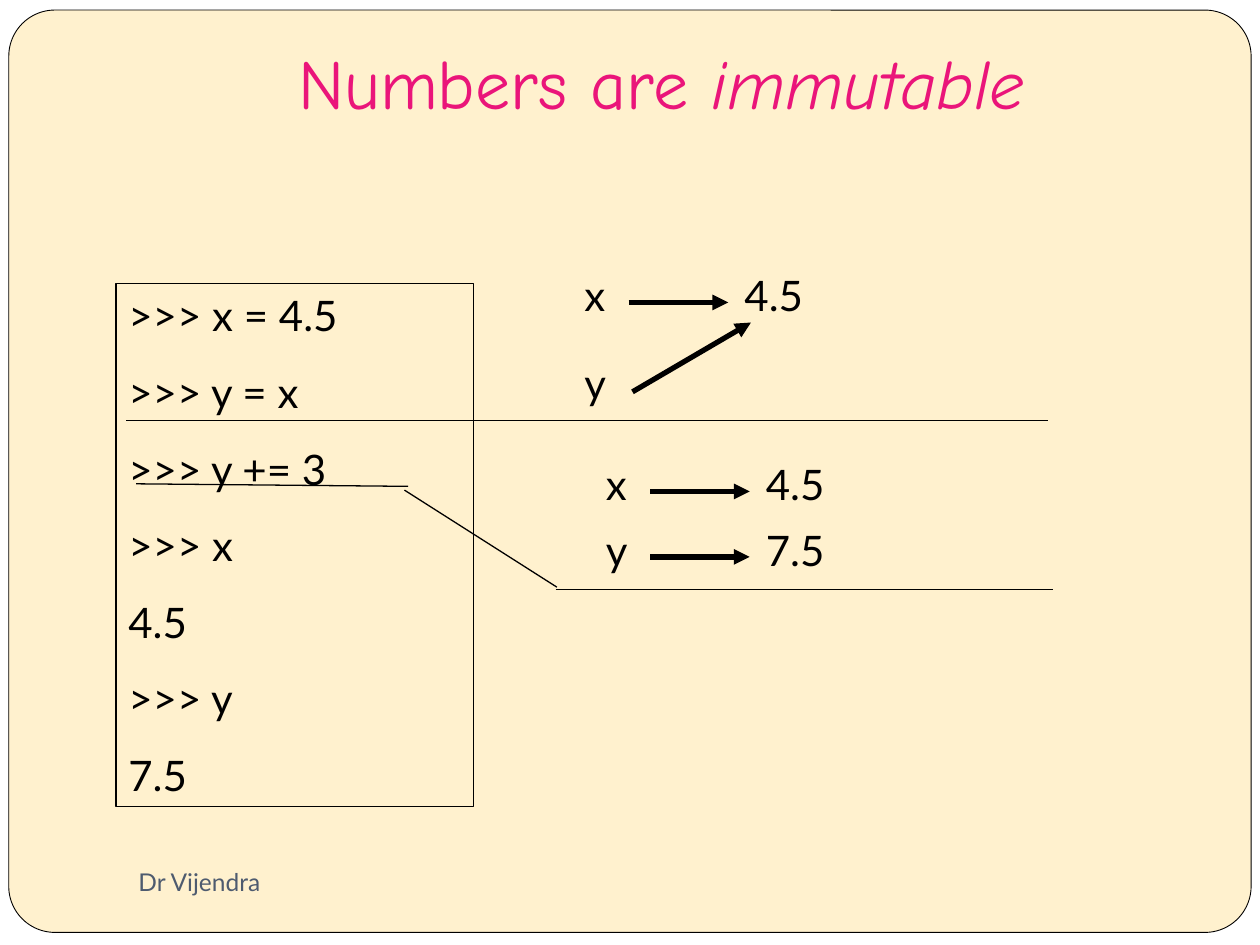
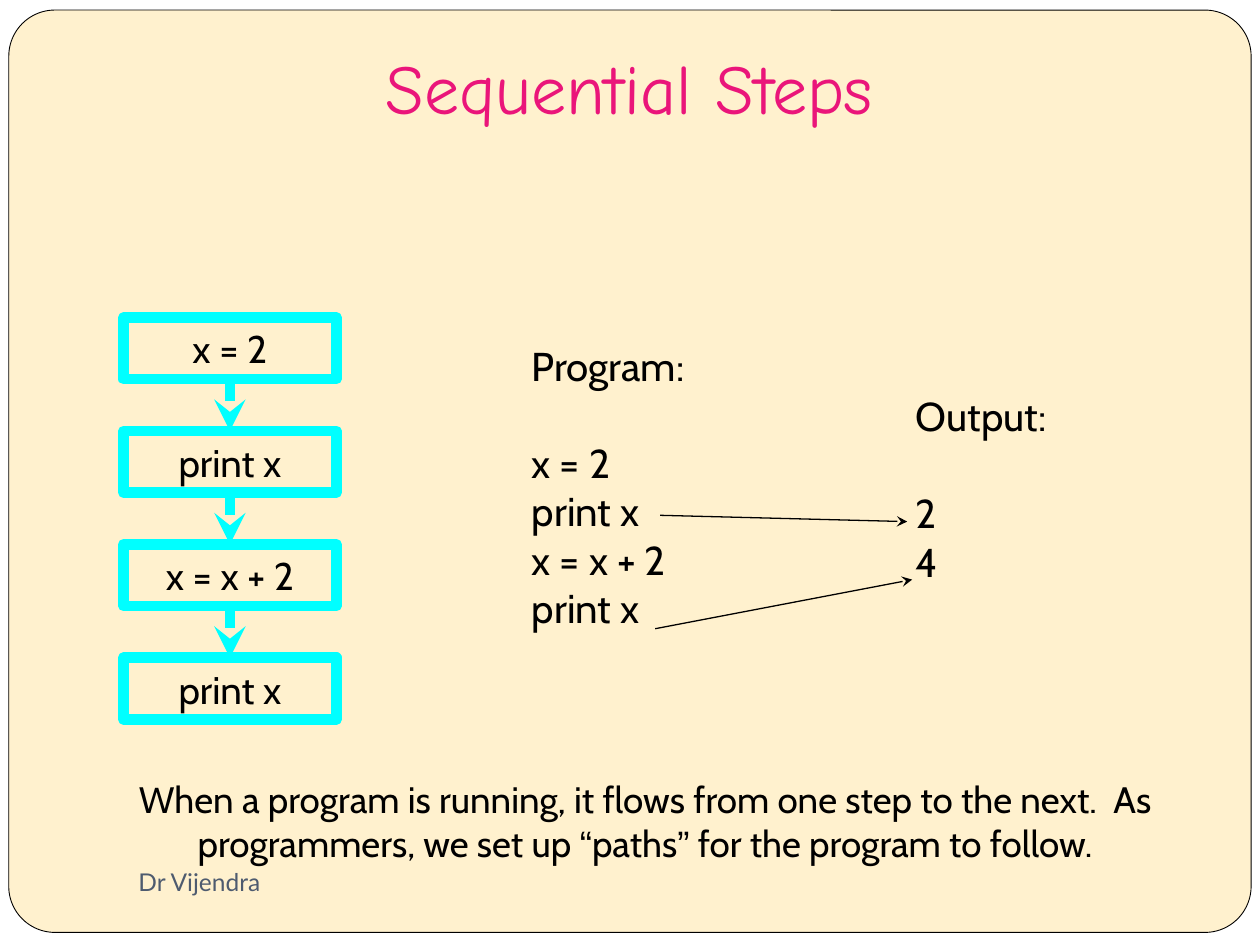
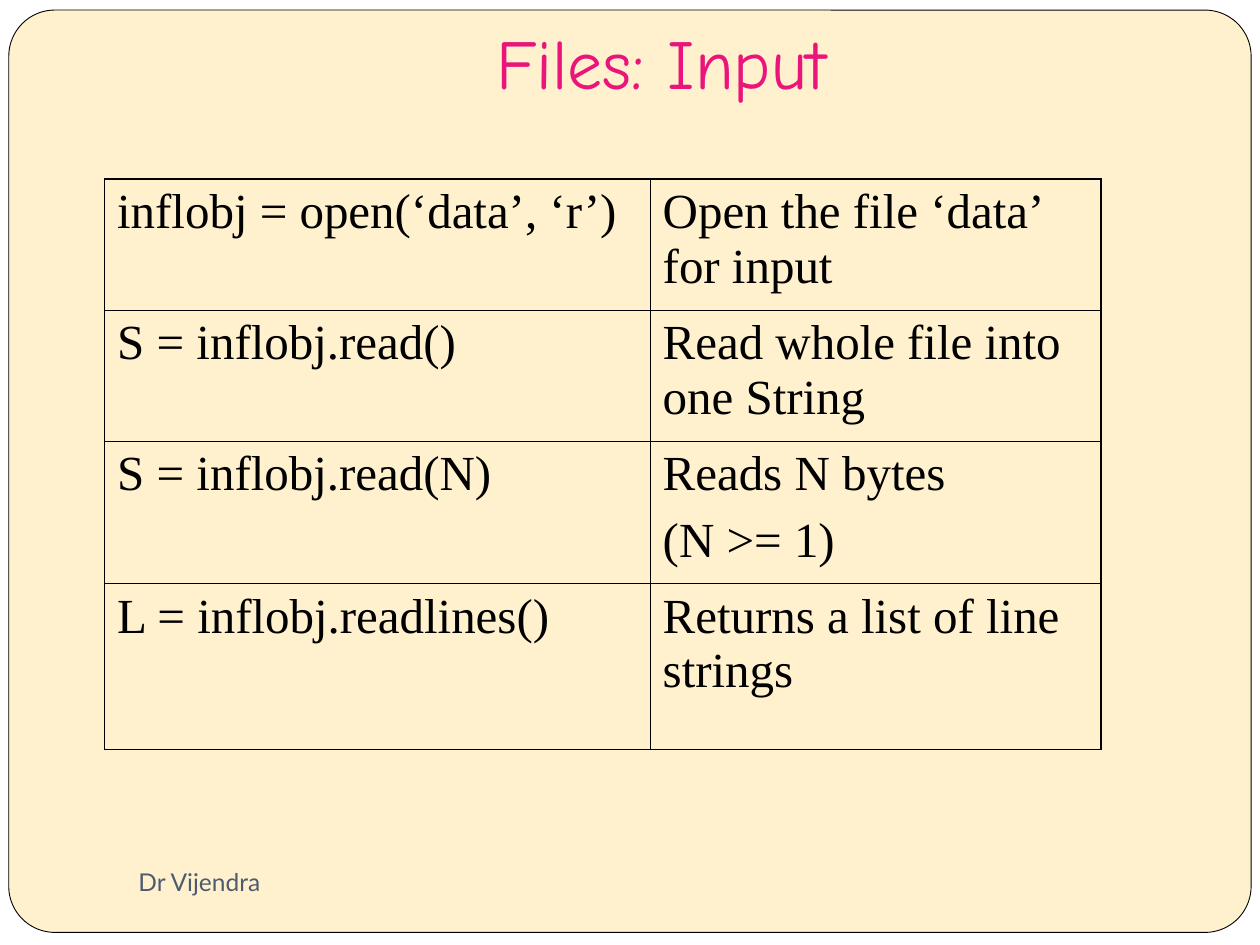
from dataclasses import dataclass

from lxml.etree import SubElement
from pptx import Presentation
from pptx.dml.color import RGBColor
from pptx.enum.shapes import MSO_CONNECTOR as Connector, MSO_SHAPE as Shape
from pptx.enum.text import MSO_ANCHOR as Anchor, MSO_AUTO_SIZE as AutoSize, PP_ALIGN as Align
from pptx.oxml.ns import qn
from pptx.util import Inches, Pt

COLORS = {"paper": "FFFFFF", "panel": "FFF1CE", "title": "EA157A",
          "ink": "000000", "footer": "4E5B6F", "flow": "00FFFF"}
TITLE_FONT, CODE_FONT, STEP_FONT, TABLE_FONT, QUOTE_FONT = (
    "Comic Neue", "Lato", "Cabin", "Times New Roman", "Arial")
CELL = 0.1  # inches: the slide is a grid of 100 columns by 75 rows
TITLE_ONLY = 5
BOTTOM, TOP = 2, 0  # connection sites of a rectangle
PADDED, TITLE_PADDING = (0.1, 0.05, 0.1, 0.05), (0.1, 0.05, 0.1, 0.1)
UNPADDED = (0, 0, 0, 0)


@dataclass
class Box:
    """A region of the grid, in columns and rows."""
    col: float
    row: float
    cols: float
    rows: float

    def inner(self, col, row, cols, rows):
        return Box(self.col + col, self.row + row, cols, rows)

    def point(self, col, row):
        return grid(self.col + col), grid(self.row + row)

    def frame(self):
        return [grid(cells) for cells in (self.col, self.row, self.cols, self.rows)]


SLIDE = Box(0, 0, 100, 75)


def grid(cells):
    return Inches(cells * CELL)


def color(name):
    return RGBColor.from_string(COLORS[name])


# Text
def write(frame, paras, font=CODE_FONT, size=24, ink="ink", align=Align.LEFT,
          anchor=Anchor.TOP, padding=PADDED, before=()):
    """Each paragraph is a string or a list of (text, font, italic) spans."""
    frame.word_wrap = True
    frame.auto_size = AutoSize.NONE
    frame.vertical_anchor = anchor
    (frame.margin_left, frame.margin_top,
     frame.margin_right, frame.margin_bottom) = map(Inches, padding)
    fill_paras(frame, paras, font, size, ink, align, before)


def fill_paras(frame, paras, font, size, ink="ink", align=Align.LEFT, before=()):
    """The gaps in before go above the second and later paragraphs."""
    for index, content in enumerate(paras):
        para = frame.paragraphs[0] if index == 0 else frame.add_paragraph()
        para.alignment = align
        para.space_before = Pt(before[index - 1] if index and before else 0)
        spans = [(content, font, False)] if isinstance(content, str) else content
        for text, face, italic in spans:
            span = para.add_run()
            span.text = text
            span.font.name, span.font.size = face, Pt(size)
            span.font.italic = italic
            span.font.color.rgb = color(ink)


def add_text(page, box, paras, **style):
    write(page.shapes.add_textbox(*box.frame()).text_frame, paras, **style)


# Shapes and lines
def add_block(page, box, kind=Shape.RECTANGLE, fill=None, line="ink", weight=0.75):
    block = page.shapes.add_shape(kind, *box.frame())
    block.shadow.inherit = False
    if fill:
        block.fill.solid()
        block.fill.fore_color.rgb = color(fill)
    else:
        block.fill.background()
    block.line.color.rgb = color(line)
    block.line.width = Pt(weight)
    return block


def add_line(page, start, end, line="ink", weight=0.75, arrow=None):
    link = page.shapes.add_connector(Connector.STRAIGHT, *start, *end)
    link.line.color.rgb = color(line)
    link.line.width = Pt(weight)
    if arrow:
        SubElement(link.element.spPr.find(qn("a:ln")), qn("a:tailEnd"), type=arrow)
    SubElement(link.element.spPr, qn("a:effectLst"))
    return link


# Pieces shared by every slide
def start_page(deck, title, box, anchor=Anchor.BOTTOM, padding=TITLE_PADDING):
    page = deck.slides.add_slide(deck.slide_layouts[TITLE_ONLY])
    panel = add_block(page, SLIDE.inner(0.7, 0.8, 98.6, 73.2),
                      Shape.ROUNDED_RECTANGLE, fill="panel", weight=0.5)
    panel.adjustments[0] = 0.05
    heading = page.shapes.title
    panel.element.addnext(heading.element)
    heading.left, heading.top, heading.width, heading.height = box.frame()
    write(heading.text_frame, [title], font=TITLE_FONT, size=40, ink="title",
          align=Align.CENTER, anchor=anchor, padding=padding)
    return page


def add_footer(page):
    add_text(page, SLIDE.inner(10, 67.5, 43.3, 5), ["Dr Vijendra"], size=14,
             ink="footer", anchor=Anchor.MIDDLE)


# Slide 1: names bound to numbers
def add_session(page, box, lines):
    write(add_block(page, box).text_frame, lines, before=[15] * (len(lines) - 1))


def add_name(page, box, name):
    add_text(page, box.inner(0, 0, 4.7, 5), [name])


def add_binding(page, box, name, value):
    add_name(page, box, name)
    add_text(page, box.inner(12.7, 0, 7.1, 5), [value])
    add_line(page, box.point(4.5, 3.1), box.point(12.4, 3.1), weight=3, arrow="triangle")


def add_shared_state(page, box):
    add_binding(page, box, "x", "4.5")
    add_name(page, box.inner(0, 7, 4.7, 5), "y")
    add_line(page, box.point(4.8, 10.2), box.point(14.2, 4.7), weight=3, arrow="triangle")
    add_line(page, box.point(-35.4, 12.5), box.point(37.8, 12.5))


def add_changed_state(page, box):
    for index, (name, value) in enumerate([("x", "4.5"), ("y", "7.5")]):
        add_binding(page, box.inner(0, 5.2 * index, 19.8, 5), name, value)
    # Rule under the state, led back to the statement that caused it
    add_line(page, box.point(-3, 10.9), box.point(36.5, 10.9))
    add_line(page, box.point(-15, 3), box.point(-2.9, 10.7))
    add_line(page, box.point(-36.3, 2.5), box.point(-14.7, 2.7))


def build_numbers(deck):
    title = [("Numbers are ", TITLE_FONT, False), ("immutable", TITLE_FONT, True)]
    page = start_page(deck, title, SLIDE.inner(10, 3, 85, 7.8))
    add_session(page, SLIDE.inner(9.2, 22.5, 28.4, 41.5),
                [">>> x = 4.5", ">>> y = x", ">>> y += 3", ">>> x", "4.5", ">>> y", "7.5"])
    add_shared_state(page, SLIDE.inner(45.4, 20.9, 19.8, 12))
    add_changed_state(page, SLIDE.inner(47.1, 35.9, 19.8, 10.2))
    add_footer(page)


# Slide 2: steps, program and output
def add_flow(page, box, steps, pitch=9):
    previous = None
    for index, step in enumerate(steps):
        block = add_block(page, box.inner(0, pitch * index, box.cols, 4.9),
                          line="flow", weight=6)
        write(block.text_frame, [step], font=STEP_FONT, size=22, align=Align.CENTER,
              anchor=Anchor.MIDDLE, padding=UNPADDED)
        if previous:
            link = add_line(page, (0, 0), (0, 0), line="flow", weight=6, arrow="stealth")
            link.begin_connect(previous, BOTTOM)
            link.end_connect(block, TOP)
        previous = block


def add_listing(page, box, heading, lines):
    gaps = [28] + [0] * (len(lines) - 1)  # one line's height below the heading
    add_text(page, box, [heading, *lines], font=STEP_FONT, size=23,
             anchor=Anchor.MIDDLE, padding=UNPADDED, before=gaps)


def add_program(page, box, steps):
    add_listing(page, box.inner(0, 0, 13.4, 26.8), "Program:", steps)
    add_listing(page, box.inner(30.5, 4.8, 12.3, 17.5), "Output:", ["2", "4"])
    for start, end in [((10.2, 15.7), (29.8, 16.2)), ((9.8, 24.7), (30.2, 20.8))]:
        add_line(page, box.point(*start), box.point(*end), arrow="stealth")


def build_steps(deck):
    page = start_page(deck, "Sequential Steps", SLIDE.inner(7.1, 2, 85.7, 9.7),
                      anchor=Anchor.MIDDLE, padding=(0.03,) * 4)
    steps = ["x = 2", "print x", "x = x + 2", "print x"]
    add_program(page, SLIDE.inner(42.2, 25.2, 42.8, 26.8), steps)
    add_flow(page, SLIDE.inner(9.8, 25.2, 16.9, 31.9), steps)
    summary = [
        ("When a program is running, it flows from one step to the next.  "
         "As programmers, we set up ", STEP_FONT, False),
        ("“", QUOTE_FONT, False), ("paths", STEP_FONT, False), ("”", QUOTE_FONT, False),
        (" for the program to follow.", STEP_FONT, False)]
    add_text(page, SLIDE.inner(10, 60.8, 82.4, 8.7), [summary], size=21,
             align=Align.CENTER, anchor=Anchor.MIDDLE, padding=UNPADDED)
    add_footer(page)


# Slide 3: table of file calls
def set_borders(cell, outer_sides):
    properties = cell._tc.get_or_add_tcPr()
    for side in "LRTB":
        weight = 1.08 if side in outer_sides else 0.45
        edge = SubElement(properties, qn(f"a:ln{side}"), w=str(Pt(weight)))
        fill = SubElement(edge, qn("a:solidFill"))
        SubElement(fill, qn("a:srgbClr"), val=COLORS["ink"])


def add_calls(page, box, rows, col_sizes, row_sizes):
    table = page.shapes.add_table(len(rows), len(col_sizes), *box.frame()).table
    table.first_row = table.horz_banding = False
    for column, size in zip(table.columns, col_sizes):
        column.width = grid(size)
    for r, (row, size) in enumerate(zip(rows, row_sizes)):
        table.rows[r].height = grid(size)
        for c, paras in enumerate(row):
            cell = table.cell(r, c)
            outer = "L" if c == 0 else "R"
            outer += "T" if r == 0 else ""
            outer += "B" if r == len(rows) - 1 else ""
            set_borders(cell, outer)
            cell.fill.background()
            fill_paras(cell.text_frame, paras, TABLE_FONT, 28, before=[7] * (len(paras) - 1))


def build_files(deck):
    page = start_page(deck, "Files: Input", SLIDE.inner(10, 3, 85, 6.2))
    rows = [
        (["inflobj = open(‘data’, ‘r’)"], ["Open the file ‘data’ for input"]),
        (["S = inflobj.read()"], ["Read whole file into one String"]),
        (["S = inflobj.read(N)"], ["Reads N bytes", "(N >= 1)"]),
        (["L = inflobj.readlines()"], ["Returns a list of line strings"]),
    ]
    add_calls(page, SLIDE.inner(8.3, 14.2, 79.1, 45.3), rows,
              col_sizes=(43.3, 35.8), row_sizes=(10.4, 10.4, 11.3, 13.2))
    add_footer(page)


def main():
    deck = Presentation()
    deck.slide_width, deck.slide_height = grid(SLIDE.cols), grid(SLIDE.rows)
    backdrop = deck.slide_master.background.fill
    backdrop.solid()
    backdrop.fore_color.rgb = color("paper")
    for build in (build_numbers, build_steps, build_files):
        build(deck)
    deck.save("out.pptx")


if __name__ == "__main__":
    main()
